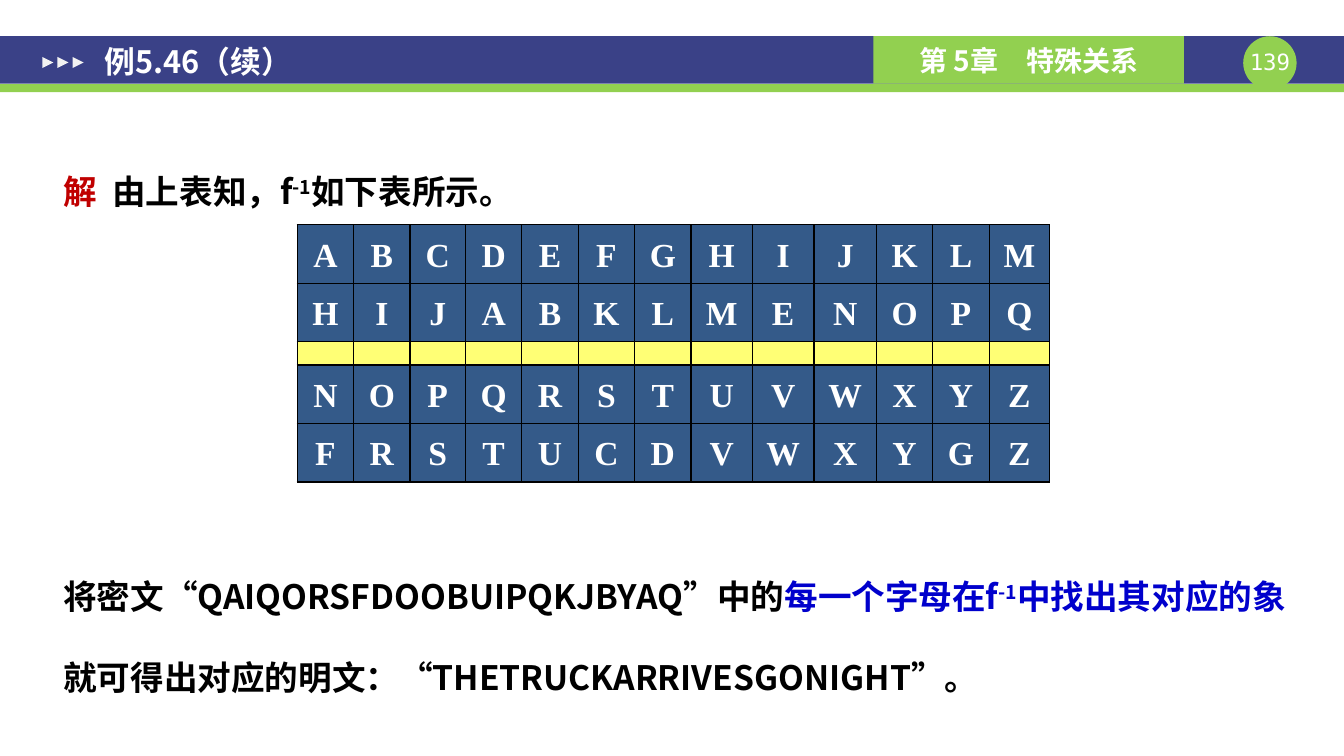
from lxml import etree
from pptx import Presentation
from pptx.dml.color import RGBColor
from pptx.enum.shapes import MSO_SHAPE
from pptx.enum.text import MSO_ANCHOR, PP_ALIGN
from pptx.oxml.ns import qn
from pptx.util import Inches, Pt

RECTANGLE, OVAL, TRIANGLE = MSO_SHAPE.RECTANGLE, MSO_SHAPE.OVAL, MSO_SHAPE.ISOSCELES_TRIANGLE
TOP, MIDDLE = MSO_ANCHOR.TOP, MSO_ANCHOR.MIDDLE
LEFT, CENTER = PP_ALIGN.LEFT, PP_ALIGN.CENTER

NAVY = RGBColor(0x3A, 0x41, 0x87)
GREEN = RGBColor(0x92, 0xD0, 0x50)
PALE = RGBColor(0xF2, 0xF2, 0xF2)
WHITE = RGBColor(0xFF, 0xFF, 0xFF)
BLACK = RGBColor(0x00, 0x00, 0x00)
RED = RGBColor(0xC0, 0x00, 0x00)
BLUE = RGBColor(0x00, 0x00, 0xCC)
CELL_BLUE = RGBColor(0x1F, 0x49, 0x7D)
CELL_YELLOW = RGBColor(0xFF, 0xFF, 0x66)

HEADING_FONT = "Noto Sans CJK SC"
NUMBER_FONT = "DejaVu Sans Mono"
LETTER_FONT = "Times New Roman"
SUPERSCRIPT = "30000"
GRID = Inches(0.1)


class CipherSlide:
    """Draws elements on one slide, with lengths in grid columns and rows."""

    def __init__(self, presentation):
        presentation.slide_width = self.grid(133.4)
        presentation.slide_height = self.grid(75)
        self.slide = presentation.slides.add_slide(presentation.slide_layouts[6])

    def grid(self, *units):
        lengths = [round(unit * GRID) for unit in units]
        return lengths if len(lengths) > 1 else lengths[0]

    def style(self, run, size, color, font=HEADING_FONT, bold=True):
        run.font.size = Pt(size)
        run.font.bold = bold
        run.font.name = font
        run.font.color.rgb = color
        properties = run.font._element
        etree.SubElement(properties, qn("a:ea")).set("typeface", font)
        return properties

    def block(self, kind, box, color, rotation=0):
        shape = self.slide.shapes.add_shape(kind, *self.grid(*box))
        shape.shadow.inherit = False
        shape.fill.solid()
        shape.fill.fore_color.rgb = color
        shape.line.fill.background()
        shape.rotation = rotation
        return shape

    def label(self, shape, text, size, font=HEADING_FONT, bold=True, align=CENTER):
        paragraph = shape.text_frame.paragraphs[0]
        paragraph.text = text
        paragraph.alignment = align
        self.style(paragraph.runs[0], size, WHITE, font, bold)

    def text_box(self, box, margins, anchor=TOP):
        shape = self.slide.shapes.add_textbox(*self.grid(*box))
        frame = shape.text_frame
        frame.word_wrap = True
        frame.vertical_anchor = anchor
        frame.margin_left = frame.margin_right = self.grid(margins[0])
        frame.margin_top = frame.margin_bottom = self.grid(margins[1])
        return shape

    def sentence(self, box, pieces):
        paragraph = self.text_box(box, (1.3, 0.7)).text_frame.paragraphs[0]
        paragraph.line_spacing = Pt(58)
        for text, color, raised in pieces:
            run = paragraph.add_run()
            run.text = text
            properties = self.style(run, 24, color)
            if raised:
                properties.set("baseline", SUPERSCRIPT)

    def fill_cell(self, cell, color):
        cell.fill.solid()
        cell.fill.fore_color.rgb = color
        properties = cell._tc.get_or_add_tcPr()
        color_element = properties.find(".//" + qn("a:srgbClr"))
        etree.SubElement(color_element, qn("a:alpha")).set("val", "90000")
        for index, side in enumerate(("a:lnL", "a:lnR", "a:lnT", "a:lnB")):
            border = etree.Element(qn(side), w=str(Pt(1)))
            fill = etree.SubElement(border, qn("a:solidFill"))
            etree.SubElement(fill, qn("a:srgbClr")).set("val", str(BLACK))
            properties.insert(index, border)

    def letter_table(self, box, widths, heights, lines):
        frame = self.slide.shapes.add_table(len(heights), len(widths), *self.grid(*box))
        table = frame.table
        table.first_row = table.horz_banding = False
        for column, width in zip(table.columns, widths):
            column.width = self.grid(width)
        for row, height, line in zip(table.rows, heights, lines):
            row.height = self.grid(height)
            for index, cell in enumerate(row.cells):
                paragraph = cell.text_frame.paragraphs[0]
                if line:
                    self.fill_cell(cell, CELL_BLUE)
                    paragraph.text = line[index]
                    paragraph.alignment = CENTER
                    paragraph.line_spacing = 1.2
                    self.style(paragraph.runs[0], 24, WHITE, LETTER_FONT)
                else:
                    self.fill_cell(cell, CELL_YELLOW)
                    cell.margin_top = cell.margin_bottom = 0
                    etree.SubElement(paragraph._p, qn("a:endParaRPr")).set("sz", "800")


def main():
    presentation = Presentation()
    page = CipherSlide(presentation)

    page.block(RECTANGLE, (0, 3.6, 133.4, 4.7), NAVY)
    page.block(RECTANGLE, (0, 8.35, 133.4, 0.8), GREEN)
    page.block(OVAL, (123.4, 3.6, 5.3, 5.3), GREEN)
    number = page.text_box((123.4, 4.8, 5.3, 2.7), (0, 0))
    page.label(number, "139", 16, NUMBER_FONT, False)
    chapter = page.block(RECTANGLE, (86.7, 3.6, 30.8, 4.7), GREEN)
    page.label(chapter, "第 5章　特殊关系", 20)
    for index in range(3):
        page.block(TRIANGLE, (4.2 + 1.5 * index, 5.65, 1.1, 1.1), PALE, 90)
    title = page.text_box((9.1, 2.9, 117.7, 6.4), (1.3, 0.7), MIDDLE)
    page.label(title, "例5.46（续）", 22, align=LEFT)

    page.sentence((5, 12.2, 125, 9.5), [
        ("解 ", RED, False),
        (" 由上表知，f", BLACK, False),
        ("-1", BLACK, True),
        ("如下表所示。", BLACK, False),
    ])
    page.letter_table(
        (29.5, 22.3, 75, 25.5),
        [5.6, 5.6, 5.5] + [5.6] * 4 + [6.1, 6.1, 6.2, 5.6, 5.6, 6],
        [5.8, 5.8, 2.3, 5.8, 5.8],
        ["ABCDEFGHIJKLM", "HIJABKLMENOPQ", "", "NOPQRSTUVWXYZ", "FRSTUCDVWXYGZ"],
    )
    page.sentence((5, 52.4, 125, 17.5), [
        ("将密文“QAIQORSFDOOBUIPQKJBYAQ”中的", BLACK, False),
        ("每一个字母在f", BLUE, False),
        ("-1", BLUE, True),
        ("中找出其对应的象", BLUE, False),
        ("就可得出对应的明文：“THETRUCKARRIVESGONIGHT”。", BLACK, False),
    ])
    presentation.save("out.pptx")


if __name__ == "__main__":
    main()
